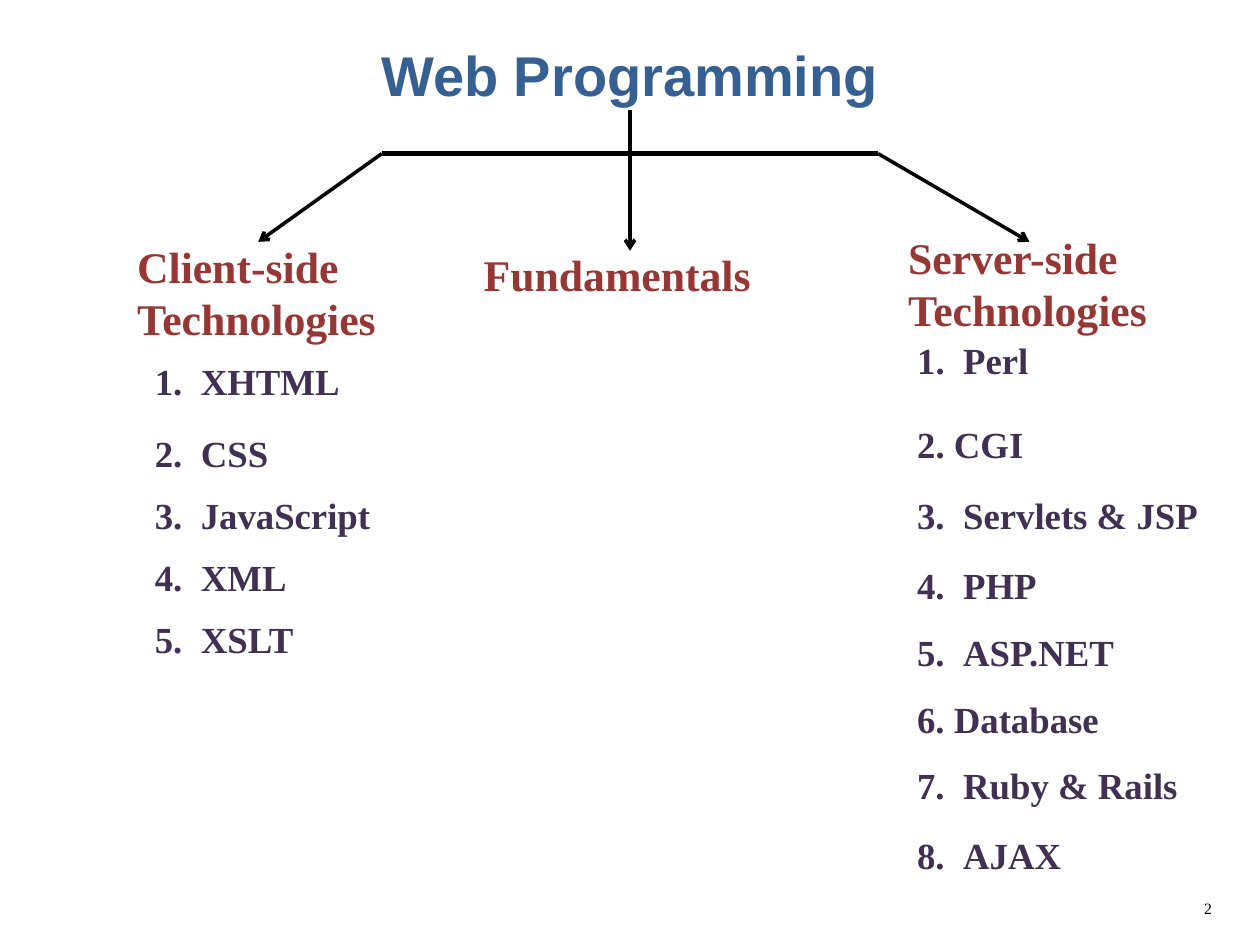
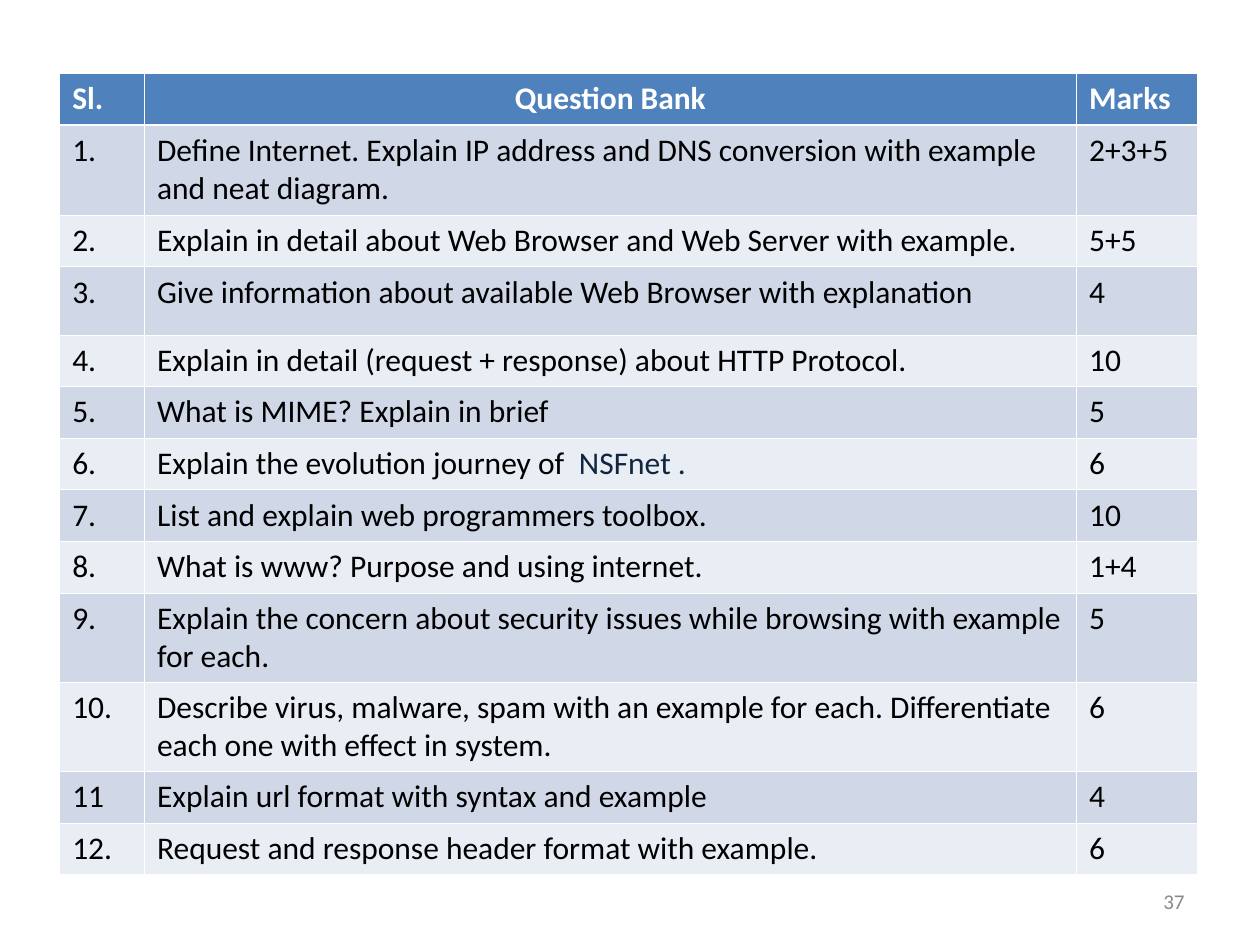
"""Build the web programming overview and the question bank table."""
from lxml import etree
from pptx import Presentation
from pptx.dml.color import RGBColor
from pptx.enum.shapes import MSO_CONNECTOR
from pptx.enum.text import MSO_ANCHOR, PP_ALIGN
from pptx.oxml.ns import qn
from pptx.util import Pt

STRAIGHT = MSO_CONNECTOR.STRAIGHT
TOP, MIDDLE = MSO_ANCHOR.TOP, MSO_ANCHOR.MIDDLE
LEFT, CENTER, RIGHT = PP_ALIGN.LEFT, PP_ALIGN.CENTER, PP_ALIGN.RIGHT

color = RGBColor.from_string
BLACK, WHITE = "000000", "FFFFFF"
HEADER_FILL, BAND_FILLS = "4F81BD", ("D0D8E8", "E9EDF4")
NUMBER_GAP = 26.3

TITLE = {"name": "Arial", "size": Pt(32), "bold": True, "color": "376092"}
BRANCH = {"name": "Times New Roman", "size": Pt(25), "bold": True, "color": "953735"}
TOPIC = {"name": "Times New Roman", "size": Pt(21), "bold": True, "color": "403152"}
SMALL_NUMBER = {"name": "Times New Roman", "size": Pt(9), "color": BLACK}
GREY_NUMBER = {"name": "Calibri", "size": Pt(12), "color": "898989"}
CELL = {"name": "Calibri", "size": Pt(18), "bold": False, "color": BLACK}
HEADER = {**CELL, "bold": True, "color": WHITE}
ACCENT = {**CELL, "color": "10253F"}


def add_span(para, text, style):
    span = para.add_run()
    span.text = text
    for name, value in style.items():
        if name == "color":
            span.font.color.rgb = color(value)
        else:
            setattr(span.font, name, value)


def add_text(page, frame, lines, style, align=LEFT, anchor=TOP):
    box = page.shapes.add_textbox(*map(Pt, frame))
    box.text_frame.word_wrap = True
    box.text_frame.vertical_anchor = anchor
    for index, line in enumerate(lines):
        para = box.text_frame.add_paragraph() if index else box.text_frame.paragraphs[0]
        para.alignment = align
        if "\t" in line:
            tabs = etree.SubElement(para._p.get_or_add_pPr(), qn("a:tabLst"))
            etree.SubElement(tabs, qn("a:tab"), pos=str(Pt(NUMBER_GAP)), algn="l")
        add_span(para, line, style)


deck = Presentation()
deck.slide_width, deck.slide_height = Pt(720), Pt(540)
blank = deck.slide_layouts[6]

page = deck.slides.add_slide(blank)
add_text(page, (681, 504.7, 28.8, 28.8), ["2"], SMALL_NUMBER, anchor=MIDDLE)
add_text(page, (36, 21.6, 648, 41), ["Web Programming"], TITLE, CENTER, MIDDLE)

branch_lines = [
    ((218.2, 87.8), (501.8, 87.8), 3, False),
    ((218.2, 87.8), (147.6, 138.2), 2, True),
    ((360, 87.8), (360, 143.3), 2, True),
    ((501.8, 87.8), (588.2, 138.2), 2, True),
    ((360, 62.6), (360, 92.9), 2, False),
]
for start, end, width, has_arrow in branch_lines:
    link = page.shapes.add_connector(STRAIGHT, *map(Pt, start + end))
    link.line.color.rgb = color(BLACK)
    link.line.width = Pt(width)
    if has_arrow:
        etree.SubElement(link.line._get_or_add_ln(), qn("a:tailEnd"), type="arrow")
    etree.SubElement(link._element.spPr, qn("a:effectLst"))

branches = [
    ((269.3, 138.2, 182.2, 37.4), ["Fundamentals"]),
    ((511.9, 128.2, 169.2, 67.7), ["Server-side", "Technologies"]),
    ((71.3, 133.2, 162, 67.7), ["Client-side", "Technologies"]),
]
for frame, lines in branches:
    add_text(page, frame, lines, BRANCH)

client_topics = [
    ("1.\tXHTML", 201.6, 152),
    ("2.\tCSS", 242.6, 106.6),
    ("3.\tJavaScript", 278, 152),
    ("4.\tXML", 313.3, 152),
    ("5.\tXSLT", 348.6, 152),
]
server_topics = [
    ("1.\tPerl", 189.2, 101.5),
    ("2. CGI", 237.6, 106.6),
    ("3.\tServlets & JSP", 278, 187.2),
    ("4.\tPHP", 318.2, 152),
    ("5.\tASP.NET", 356.2, 152),
    ("6. Database", 394.4, 152),
    ("7.\tRuby & Rails", 432.2, 172),
    ("8.\tAJAX", 472.5, 152),
]
for left, topics in ((81.4, client_topics), (517, server_topics)):
    for text, top, width in topics:
        add_text(page, (left, top, width, 32.4), [text], TOPIC)

page = deck.slides.add_slide(blank)
add_text(page, (516.2, 500.4, 167.8, 28.8), ["37"], GREY_NUMBER, RIGHT, MIDDLE)

questions = [
    ("Sl.", "Question Bank", "Marks"),
    ("1.", "Define Internet. Explain IP address and DNS conversion with example and neat diagram.", "2+3+5"),
    ("2.", "Explain in detail about Web Browser and Web Server with example.", "5+5"),
    ("3.", "Give information about available Web Browser with explanation", "4"),
    ("4.", "Explain in detail (request + response) about HTTP Protocol.", "10"),
    ("5.", "What is MIME? Explain in brief", "5"),
    ("6.", "Explain the evolution journey of ", "6"),
    ("7.", "List and explain web programmers toolbox.", "10"),
    ("8.", "What is www? Purpose and using internet.", "1+4"),
    ("9.", "Explain the concern about security issues while browsing with example for each.", "5"),
    ("10.", "Describe virus, malware, spam with an example for each. "
            "Differentiate each one with effect in system.", "6"),
    ("11", "Explain url format with syntax and example", "4"),
    ("12.", "Request and response header format with example.", "6"),
]
column_widths = (48.5, 532.6, 69)
tall_rows = {1: 51.5, 3: 39, 9: 51, 10: 51}

table = page.shapes.add_table(
    len(questions), len(column_widths), Pt(34.1), Pt(42), Pt(sum(column_widths)), Pt(458)
).table
table.horz_banding = False
for column, width in zip(table.columns, column_widths):
    column.width = Pt(width)

for row, values in enumerate(questions):
    table.rows[row].height = Pt(tall_rows.get(row, 29.5))
    for column, text in enumerate(values):
        cell = table.cell(row, column)
        properties = cell._tc.get_or_add_tcPr()
        for side in ("L", "R", "T", "B"):
            under_header = (row, side) in ((0, "B"), (1, "T"))
            border = etree.SubElement(
                properties, qn(f"a:ln{side}"), w=str(Pt(1.47 if under_header else 0.45))
            )
            paint = etree.SubElement(border, qn("a:solidFill"))
            etree.SubElement(paint, qn("a:srgbClr"), val=WHITE)
        cell.fill.solid()
        cell.fill.fore_color.rgb = color(BAND_FILLS[(row - 1) % 2] if row else HEADER_FILL)
        para = cell.text_frame.paragraphs[0]
        para.alignment = CENTER if (row, column) == (0, 1) else LEFT
        add_span(para, text, CELL if row else HEADER)

add_span(table.cell(6, 1).text_frame.paragraphs[0], " NSFnet .", ACCENT)

deck.save("out.pptx")
